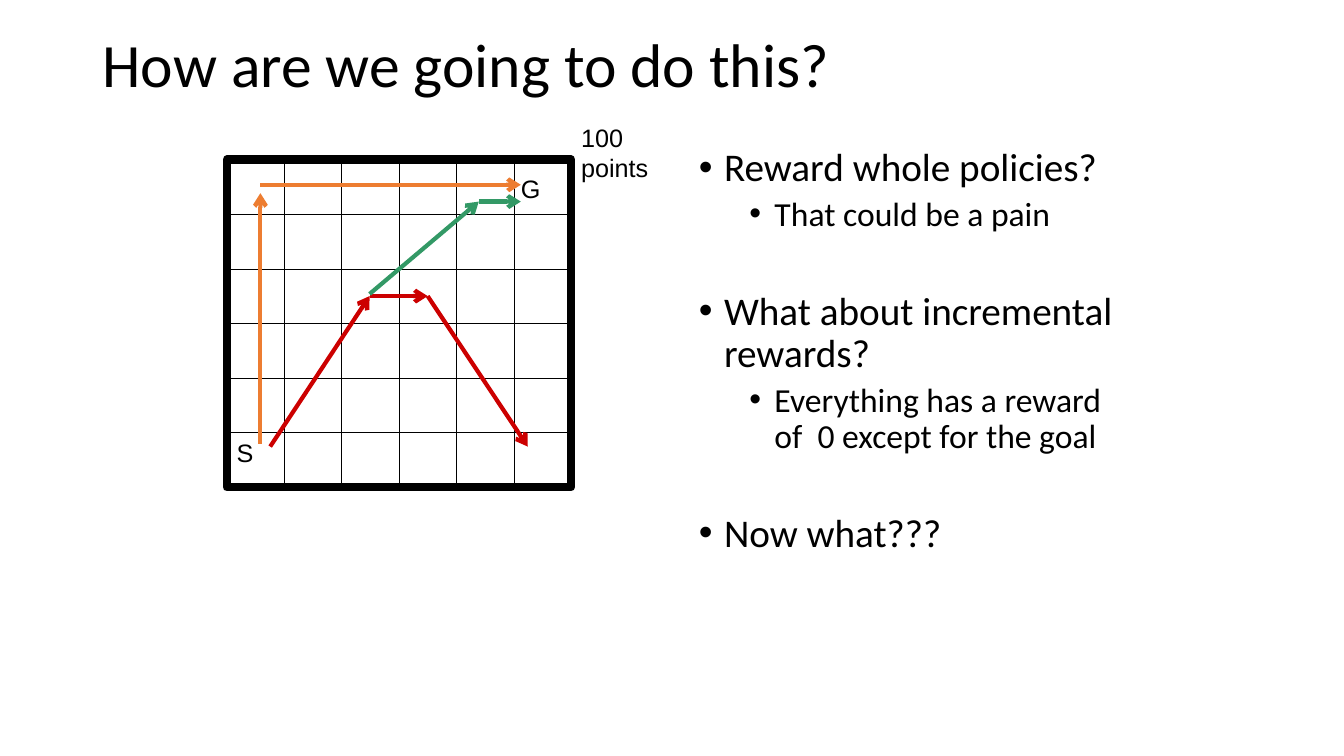
from lxml import etree
from pptx import Presentation
from pptx.dml.color import RGBColor
from pptx.enum.shapes import MSO_CONNECTOR, MSO_SHAPE
from pptx.enum.text import MSO_ANCHOR, MSO_AUTO_SIZE, PP_ALIGN
from pptx.oxml.ns import qn
from pptx.util import Pt

STRAIGHT = MSO_CONNECTOR.STRAIGHT
RECTANGLE = MSO_SHAPE.RECTANGLE
MIDDLE, TOP = MSO_ANCHOR.MIDDLE, MSO_ANCHOR.TOP
NO_AUTOFIT = MSO_AUTO_SIZE.NONE
LEFT = PP_ALIGN.LEFT
TOP_SIDE, LEFT_SIDE, BOTTOM_SIDE, RIGHT_SIDE = range(4)

COLORS = {"black": "000000", "red": "CC0000", "orange": "ED7D31", "green": "339966"}

TITLE = "How are we going to do this?"
# text, level, space before
BULLETS = [
    ("Reward whole policies?", 0, 0),
    ("That could be a pain", 1, 5),
    ("What about incremental rewards?", 0, 41.4),
    ("Everything has a reward of  0 except for the goal", 1, 5),
    ("Now what???", 0, 41.4),
]
LEVEL_SIZES = (28, 24)
LEVEL_INDENTS = (18, 54)
HANGING = 18

GRID_LEFT, GRID_TOP = 162, 114
CELL_WIDTH, CELL_HEIGHT = 41, 39
CELLS = 6

# lines of text, left, top, width, height
LABELS = [
    (["S"], 162, 309, 26.6, 29),
    (["G"], 365, 120, 28.8, 29),
    (["100", "points"], 408, 84, 62.6, 50.4),
]
# colour and the points each path passes through
PATHS = [
    ("red", [(193, 319), (264, 211.5), (305.5, 211.5), (377, 319)]),
    ("orange", [(186, 317), (186, 138)]),
    ("orange", [(186, 132), (372, 132)]),
    ("green", [(264, 210), (342, 144), (372, 144)]),
]


def color(name):
    return RGBColor.from_string(COLORS[name])


def place(shape, left, top, width, height):
    shape.left, shape.top = Pt(left), Pt(top)
    shape.width, shape.height = Pt(width), Pt(height)


def style_font(paragraph, name, size):
    paragraph.font.name = name
    paragraph.font.size = Pt(size)
    paragraph.font.color.rgb = color("black")


def add_line(slide, start, end, color_name, width, arrow=False):
    line = slide.shapes.add_connector(STRAIGHT, *map(Pt, start + end))
    line.line.color.rgb = color(color_name)
    line.line.width = Pt(width)
    if arrow:
        etree.SubElement(line.line._get_or_add_ln(), qn("a:tailEnd"), type="arrow")
    etree.SubElement(line._element.spPr, qn("a:effectLst"))
    return line


def add_title(slide):
    title = slide.shapes.title
    place(title, 66, -3.6, 828, 104.4)
    title.text_frame.text = TITLE
    title.text_frame.vertical_anchor = MIDDLE
    title.text_frame.auto_size = NO_AUTOFIT
    para = title.text_frame.paragraphs[0]
    para.alignment = LEFT
    para.line_spacing = 0.9
    style_font(para, "Calibri", 44)


def add_bullets(slide):
    body = slide.placeholders[1]
    place(body, 492, 102, 318, 392.4)
    frame = body.text_frame
    frame.text = "\n".join(text for text, _, _ in BULLETS)
    frame.vertical_anchor = TOP
    frame.auto_size = NO_AUTOFIT
    for para, (_, level, space) in zip(frame.paragraphs, BULLETS):
        para.level = level
        para.line_spacing = 0.9
        para.space_before = Pt(space)
        properties = para._p.get_or_add_pPr()
        properties.set("marL", str(Pt(LEVEL_INDENTS[level])))
        properties.set("indent", str(-Pt(HANGING)))
        etree.SubElement(properties, qn("a:buFont"), typeface="Arial")
        etree.SubElement(properties, qn("a:buChar"), char="•")
        style_font(para, "Calibri", LEVEL_SIZES[level])


def add_grid(slide):
    width, height = CELLS * CELL_WIDTH, CELLS * CELL_HEIGHT
    right, bottom = GRID_LEFT + width, GRID_TOP + height
    border = slide.shapes.add_shape(
        RECTANGLE, *map(Pt, (GRID_LEFT, GRID_TOP, width, height)))
    border.shadow.inherit = False
    border.fill.background()
    border.line.color.rgb = color("black")
    border.line.width = Pt(6)
    for index in range(1, CELLS):
        x = GRID_LEFT + index * CELL_WIDTH
        y = GRID_TOP + index * CELL_HEIGHT
        column = add_line(slide, (x, GRID_TOP), (x, bottom), "black", 0.25)
        row = add_line(slide, (GRID_LEFT, y), (right, y), "black", 0.25)
        if index * 2 == CELLS:
            column.begin_connect(border, TOP_SIDE)
            column.end_connect(border, BOTTOM_SIDE)
            row.begin_connect(border, LEFT_SIDE)
            row.end_connect(border, RIGHT_SIDE)


def add_labels(slide):
    for lines, *bounds in LABELS:
        box = slide.shapes.add_textbox(*map(Pt, bounds))
        box.text_frame.word_wrap = False
        box.text_frame.text = "\n".join(lines)
        for para in box.text_frame.paragraphs:
            style_font(para, "Arial", 18)


def add_paths(slide):
    for color_name, points in PATHS:
        for start, end in zip(points, points[1:]):
            add_line(slide, start, end, color_name, 3, arrow=True)


def main():
    deck = Presentation()
    deck.slide_width, deck.slide_height = Pt(960), Pt(540)
    slide = deck.slides.add_slide(deck.slide_layouts[1])
    add_title(slide)
    add_bullets(slide)
    add_grid(slide)
    add_labels(slide)
    add_paths(slide)
    deck.save("out.pptx")


if __name__ == "__main__":
    main()
